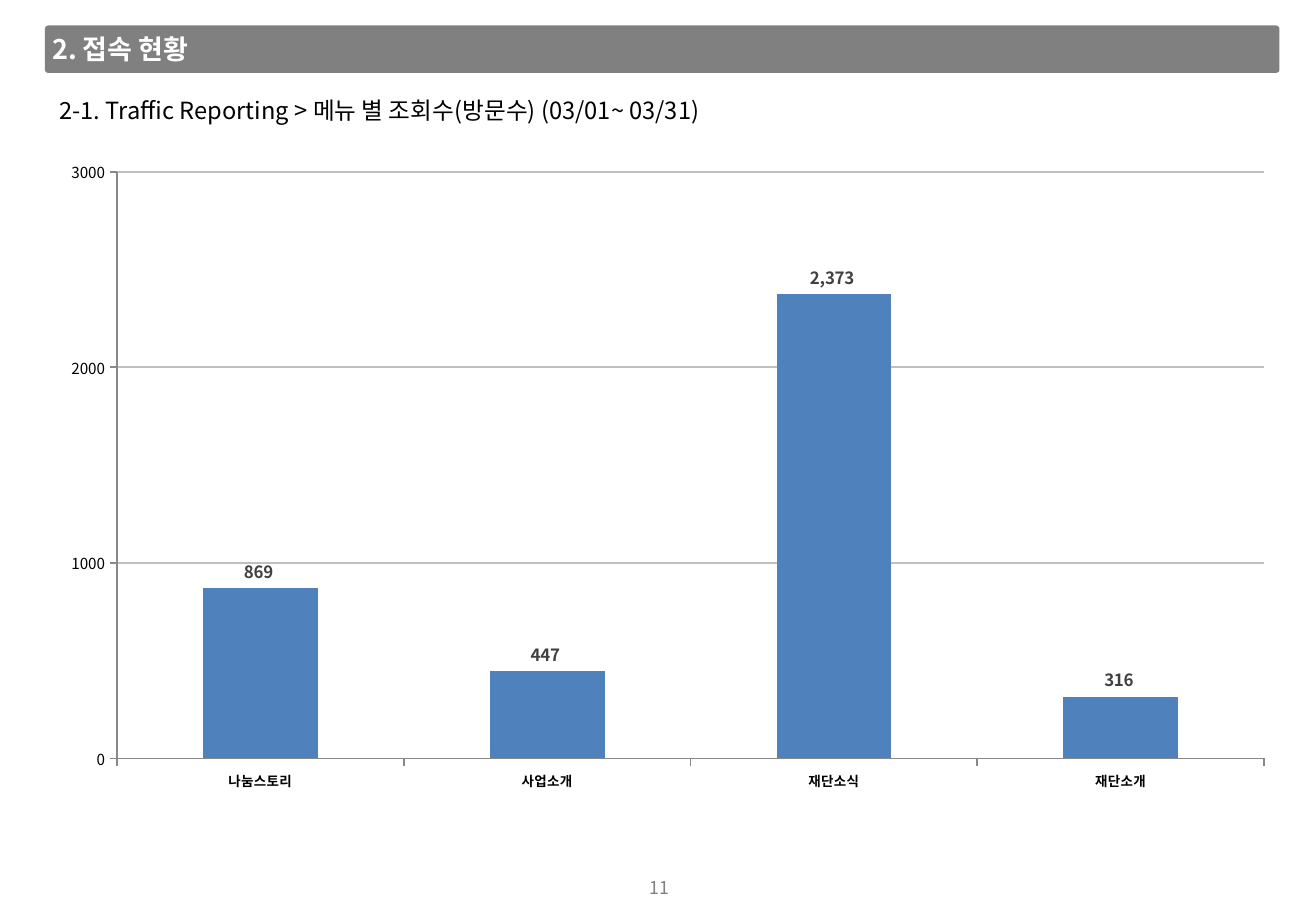
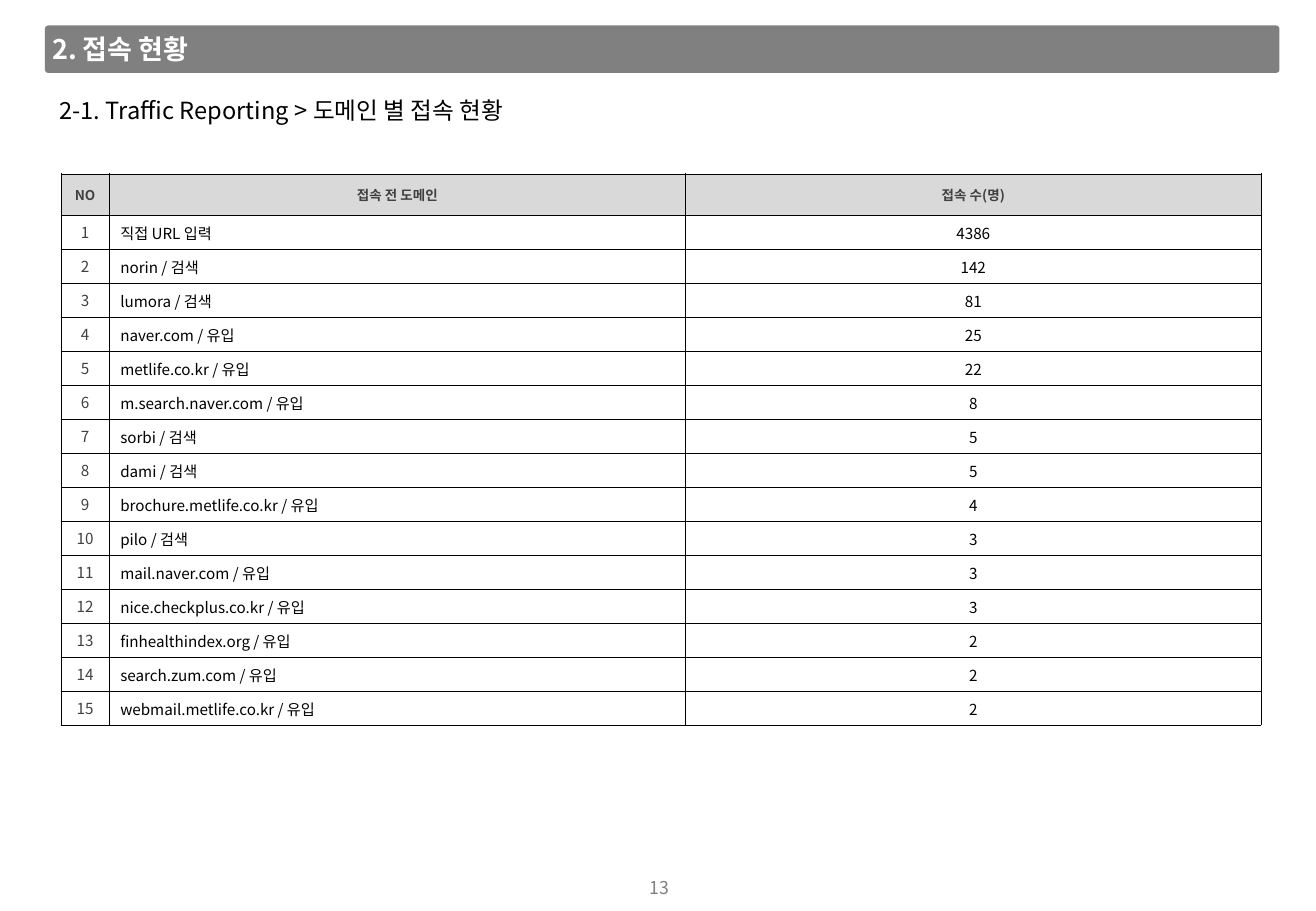
from lxml import etree
from pptx import Presentation, util as u
from pptx.chart import data as chart_data
from pptx.dml import color
from pptx.enum import chart as ec, shapes, text
from pptx.oxml import ns

PX = 9144  # one px is 1/100 inch
FONT = "Noto Sans CJK KR"
BLACK, WHITE, GREY, DARK = "000000", "FFFFFF", "808080", "404040"
AXIS, GRID, BAR, HEAD = "888888", "BFBFBF", "4F81BD", "D9D9D9"
CENTER, LEFT = text.PP_ALIGN.CENTER, text.PP_ALIGN.LEFT
MIDDLE, TOP = text.MSO_ANCHOR.MIDDLE, text.MSO_ANCHOR.TOP
SIDES = ("left", "top", "right", "bottom")


def px(value):
    return u.Emu(value * PX)


def rgb(code):
    return color.RGBColor.from_string(code)


def add_xml(parent, tag, **attributes):
    return etree.SubElement(parent, ns.qn(tag), attributes)


def set_font(font, size, code, bold=False):
    for name, value in {"size": u.Pt(size), "bold": bold, "name": FONT}.items():
        setattr(font, name, value)
    font.color.rgb = rgb(code)
    add_xml(font._rPr, "a:ea", typeface=FONT)


def set_line(line, code, width=1):
    line.color.rgb = rgb(code)
    line.width = u.Pt(width)


def set_margins(target, margins):
    for side, margin in zip(SIDES, margins):
        setattr(target, "margin_" + side, px(margin))


def write(frame, words, align, size, code, bold=False):
    para = frame.paragraphs[0]
    para.alignment = align
    span = para.add_run()
    span.text = words
    set_font(span.font, size, code, bold)


class Report:
    def __init__(self):
        self.deck = Presentation()
        self.deck.slide_width, self.deck.slide_height = px(1083), px(750)
        self.page = None

    # Shared frame of every page: band, section title, subtitle, number
    def add_page(self, subtitle, number):
        self.page = self.deck.slides.add_slide(self.deck.slide_layouts[6])
        self.band(37, 21, 1016, 39)
        self.label("2. 접속 현황", 38, 22, 164, 37, 16, WHITE, bold=True)
        self.label(subtitle, 44, 74, 793, 34, 14, BLACK)
        self.label(number, 529, 718, 27, 26, 10.5, GREY,
                   align=CENTER, anchor=MIDDLE, margin=4, wrap=False)

    def band(self, left, top, width, height):
        band = self.page.shapes.add_shape(
            shapes.MSO_SHAPE.ROUNDED_RECTANGLE, px(left), px(top), px(width), px(height))
        band.adjustments[0] = 0.07
        band.shadow.inherit = False
        band.fill.solid()
        band.fill.fore_color.rgb = rgb(GREY)
        band.line.fill.background()

    def label(self, words, left, top, width, height, size, code, bold=False,
              align=LEFT, anchor=TOP, margin=5, wrap=True):
        box = self.page.shapes.add_textbox(px(left), px(top), px(width), px(height))
        frame = box.text_frame
        options = {"word_wrap": wrap, "vertical_anchor": anchor,
                   "auto_size": text.MSO_AUTO_SIZE.SHAPE_TO_FIT_TEXT}
        for name, value in options.items():
            setattr(frame, name, value)
        set_margins(frame, [margin] * 4)
        write(frame, words, align, size, code, bold)

    def column_chart(self, left, top, width, height, visits):
        source = chart_data.CategoryChartData()
        source.categories = list(visits)
        source.add_series("Series 1", list(visits.values()))
        chart = self.page.shapes.add_chart(
            ec.XL_CHART_TYPE.COLUMN_CLUSTERED,
            px(left), px(top), px(width), px(height), source).chart
        chart.has_legend = chart.has_title = False
        set_font(chart.font, 10, BLACK)

        # Axes
        for axis, size, bold in ((chart.category_axis, 8, True), (chart.value_axis, 9, False)):
            axis.major_tick_mark = ec.XL_TICK_MARK.OUTSIDE
            set_font(axis.tick_labels.font, size, BLACK, bold)
            set_line(axis.format.line, AXIS)
        scale = {"minimum_scale": 0, "maximum_scale": 3000, "major_unit": 1000,
                 "has_major_gridlines": True}
        for name, value in scale.items():
            setattr(chart.value_axis, name, value)
        set_line(chart.value_axis.major_gridlines.format.line, GRID)
        chart.value_axis.tick_labels.number_format = "0"
        chart.value_axis.tick_labels.number_format_is_linked = False

        # Bars and their labels
        plot = chart.plots[0]
        plot.gap_width = 150
        plot.vary_by_categories = False
        fill = plot.series[0].format.fill
        fill.solid()
        fill.fore_color.rgb = rgb(BAR)
        labels = plot.series[0].data_labels
        options = {"show_value": True, "position": ec.XL_LABEL_POSITION.OUTSIDE_END,
                   "number_format": "#,##0_);\\(#,##0\\)", "number_format_is_linked": False}
        for name, value in options.items():
            setattr(labels, name, value)
        set_font(labels.font, 10, DARK, True)
        self.place_plot(chart, x=0.04, y=0.02, w=0.96, h=0.93)

    def place_plot(self, chart, **place):
        area = chart._chartSpace.find(".//" + ns.qn("c:plotArea"))
        for old in area.findall(ns.qn("c:layout")):
            area.remove(old)
        layout = etree.Element(ns.qn("c:layout"))
        area.insert(0, layout)
        manual = add_xml(layout, "c:manualLayout")
        add_xml(manual, "c:layoutTarget", val="inner")
        for side in "xy":
            add_xml(manual, f"c:{side}Mode", val="edge")
        for side, share in place.items():
            add_xml(manual, f"c:{side}", val=str(share))

    def table(self, left, top, widths, head_height, row_height, head, rows):
        height = head_height + row_height * len(rows)
        table = self.page.shapes.add_table(
            len(rows) + 1, len(widths), px(left), px(top), px(sum(widths)), px(height)).table
        table.first_row = table.horz_banding = False
        for column, width in zip(table.columns, widths):
            column.width = px(width)
        for row, words in enumerate([head, *rows]):
            table.rows[row].height = px(row_height if row else head_height)
            for column, word in enumerate(words):
                self.cell(table.cell(row, column), word, row == 0, column)

    def cell(self, cell, words, is_head, column):
        cell.vertical_anchor = MIDDLE
        if is_head:
            cell.fill.solid()
            cell.fill.fore_color.rgb = rgb(HEAD)
        else:
            cell.fill.background()
        is_name = column == 1 and not is_head
        wide = is_head or column == 0
        set_margins(cell, [5] * 4 if wide else [9 if is_name else 1, 1, 1, 0])
        write(cell.text_frame, words, LEFT if is_name else CENTER,
              8 if is_head else 9, DARK if wide else BLACK, is_head)
        self.cell_borders(cell)

    def cell_borders(self, cell):
        properties = cell._tc.get_or_add_tcPr()
        for index, side in enumerate("LRTB"):
            border = etree.Element(ns.qn(f"a:ln{side}"), w=str(u.Pt(0.25)))
            add_xml(add_xml(border, "a:solidFill"), "a:srgbClr", val=BLACK)
            properties.insert(index, border)


MENU_VISITS = {"나눔스토리": 869, "사업소개": 447, "재단소식": 2373, "재단소개": 316}

DOMAINS = [
    ("직접 URL 입력", 4386),
    ("norin / 검색", 142),
    ("lumora / 검색", 81),
    ("naver.com / 유입", 25),
    ("metlife.co.kr / 유입", 22),
    ("m.search.naver.com / 유입", 8),
    ("sorbi / 검색", 5),
    ("dami / 검색", 5),
    ("brochure.metlife.co.kr / 유입", 4),
    ("pilo / 검색", 3),
    ("mail.naver.com / 유입", 3),
    ("nice.checkplus.co.kr / 유입", 3),
    ("finhealthindex.org / 유입", 2),
    ("search.zum.com / 유입", 2),
    ("webmail.metlife.co.kr / 유입", 2),
]


def main():
    report = Report()

    # Views per menu
    report.add_page("2-1. Traffic Reporting > 메뉴 별 조회수(방문수) (03/01~ 03/31)", "11")
    report.column_chart(57, 131, 984, 520, MENU_VISITS)

    # Visits per referring domain
    report.add_page("2-1. Traffic Reporting > 도메인 별 접속 현황", "13")
    rows = [(str(number), name, str(count))
            for number, (name, count) in enumerate(DOMAINS, 1)]
    report.table(50, 143, [40, 474, 474], 34, 28,
                 ("NO", "접속 전 도메인", "접속 수(명)"), rows)

    report.deck.save("out.pptx")


if __name__ == "__main__":
    main()
